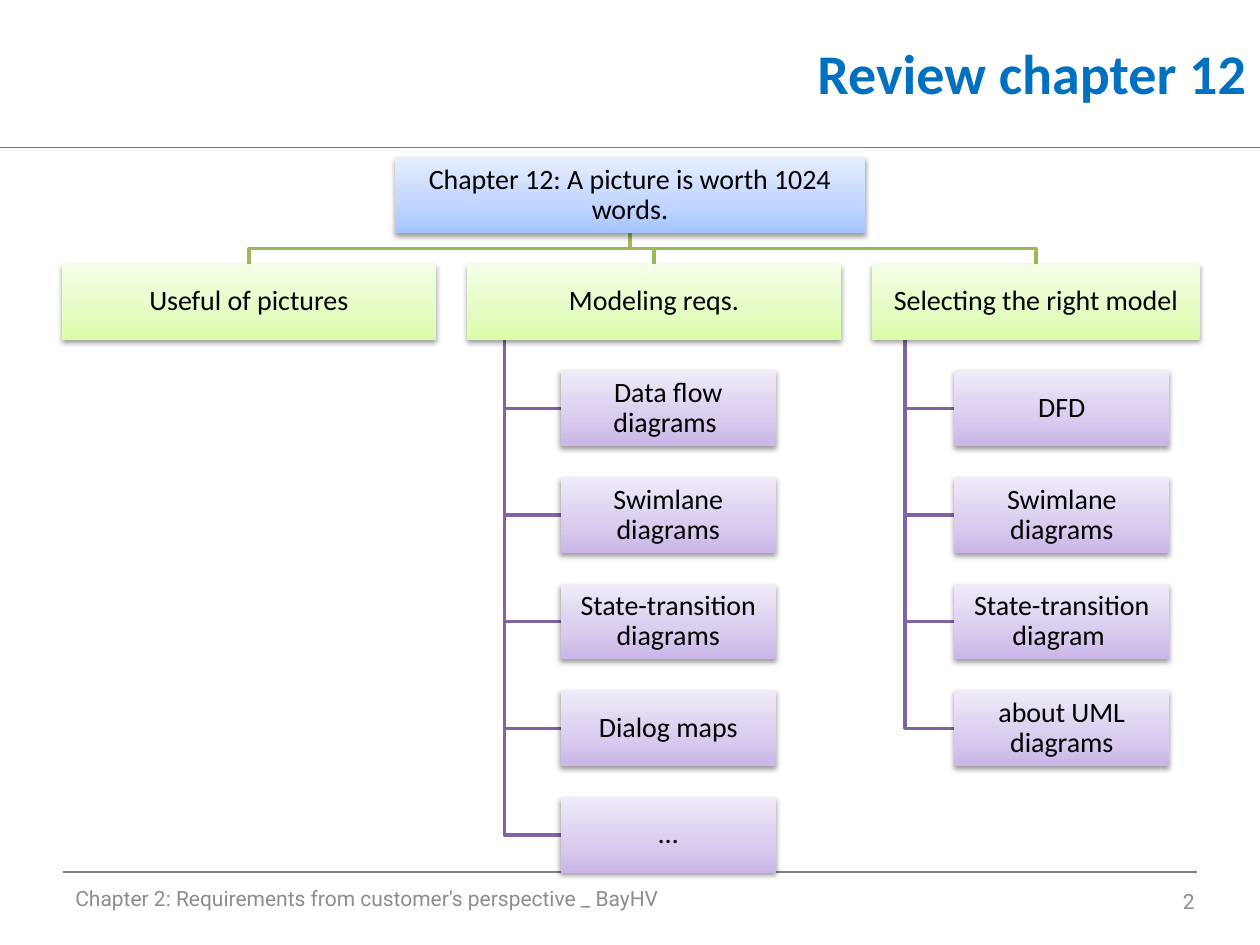
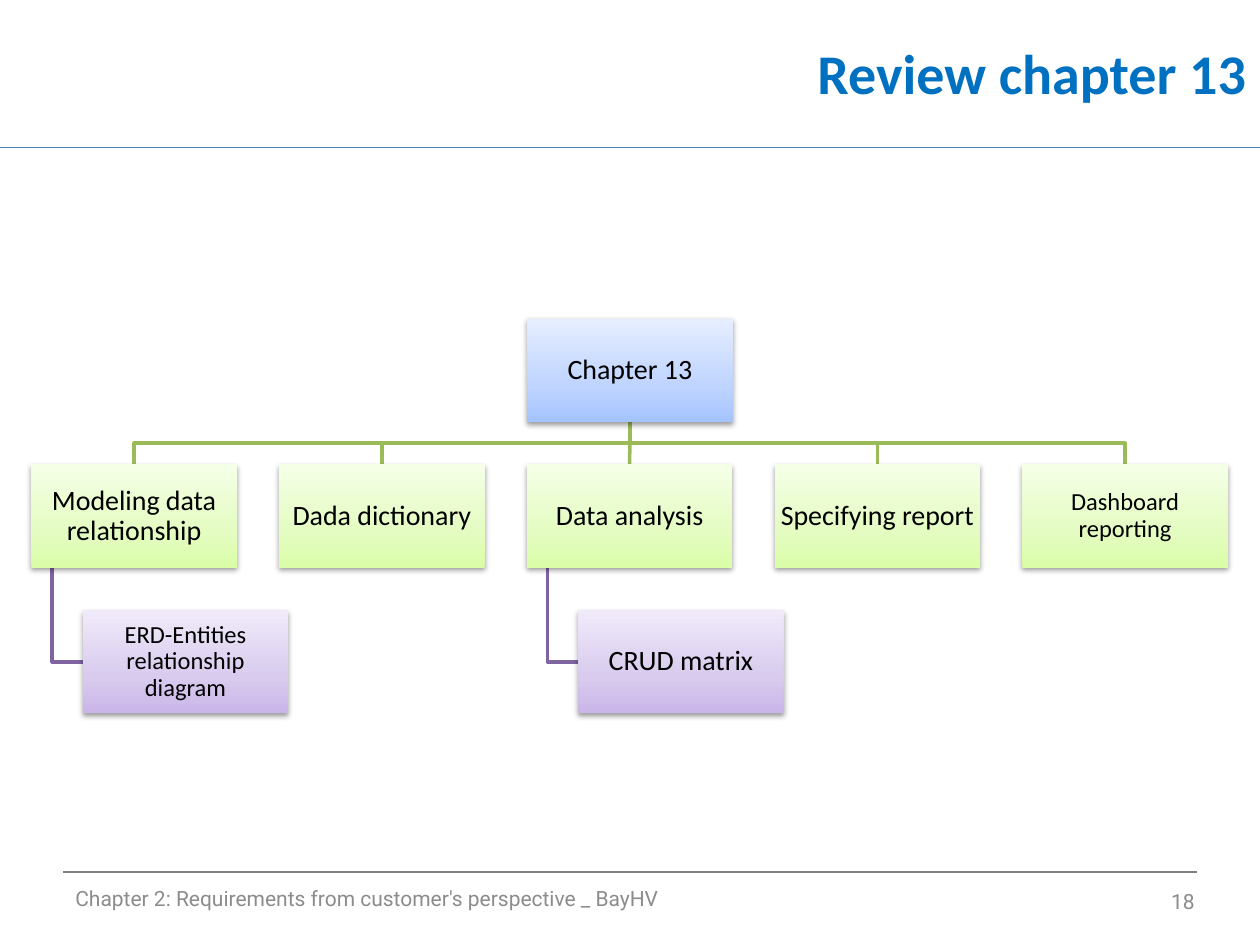
from copy import deepcopy
from dataclasses import dataclass

from lxml import etree
from pptx import Presentation
from pptx.dml.color import RGBColor
from pptx.enum.shapes import MSO_CONNECTOR, MSO_SHAPE
from pptx.enum.text import MSO_ANCHOR, PP_ALIGN
from pptx.oxml.ns import qn
from pptx.util import Inches, Pt

TITLE_BLUE = RGBColor(0x00, 0x70, 0xC0)
RULE_BLUE = RGBColor(0x4B, 0x7E, 0xBC)
RULE_GREY = RGBColor(0x80, 0x80, 0x80)
FOOTER_GREY = RGBColor(0x8C, 0x8C, 0x8C)
BLACK = RGBColor(0x00, 0x00, 0x00)
BRANCH_LINE = RGBColor(0x9B, 0xBB, 0x59)
LEAF_LINE = RGBColor(0x80, 0x64, 0xA2)

# Gradients run from the bottom of a box to its top
ROOT_FILL = [RGBColor(0xA4, 0xC4, 0xFF), RGBColor(0xBF, 0xD4, 0xFF), RGBColor(0xE6, 0xEE, 0xFF)]
BRANCH_FILL = [RGBColor(0xDA, 0xFD, 0xA7), RGBColor(0xE4, 0xFC, 0xC2), RGBColor(0xF5, 0xFF, 0xE7)]
LEAF_FILL = [RGBColor(0xC9, 0xB5, 0xE8), RGBColor(0xD8, 0xCB, 0xEE), RGBColor(0xF0, 0xEA, 0xF9)]
STOPS = [0, 0.35, 1]

TITLE_FONT = {"name": "Calibri", "size": Pt(32), "bold": True}
FOOTER_FONT = {"name": "Roboto", "size": Pt(12)}
FOOTER = "Chapter 2: Requirements from customer's perspective _ BayHV"

# Chart proportions: gap to box height, stem and indent to branch width
GAP, STEM, INDENT = 0.41, 0.1, 0.25


@dataclass
class Node:
    text: str
    width: float
    size: int = 16
    children: tuple = ()


def write(tf, text, align, font, color):
    tf.word_wrap = True
    tf.vertical_anchor = MSO_ANCHOR.MIDDLE
    p = tf.paragraphs[0]
    p.alignment = align
    r = p.add_run()
    r.text = text
    for key, value in font.items():
        setattr(r.font, key, value)
    r.font.color.rgb = color
    return p


def add_text(slide, box, text, align, font, color):
    tb = slide.shapes.add_textbox(*map(Inches, box))
    write(tb.text_frame, text, align, font, color)


def add_line(slide, start, end, color, width):
    line = slide.shapes.add_connector(MSO_CONNECTOR.STRAIGHT, *map(Inches, (*start, *end)))
    line.line.color.rgb = color
    line.line.width = Pt(width)
    etree.SubElement(line._element.spPr, qn("a:effectLst"))
    return line


def send_to_back(sp):
    sp._element.getparent().insert(2, sp._element)


def add_elbow(slide, points, color):
    (x, y), *rest = [(Inches(px), Inches(py)) for px, py in points]
    builder = slide.shapes.build_freeform(x, y)
    builder.add_line_segments(rest, close=False)
    sp = builder.convert_to_shape()
    sp.shadow.inherit = False
    sp.fill.background()
    sp.line.color.rgb = color
    sp.line.width = Pt(2)
    send_to_back(sp)


def add_soft_shadow(sp):
    sp.shadow.inherit = False
    effects = sp._element.spPr.find(qn("a:effectLst"))
    shadow = etree.SubElement(effects, qn("a:outerShdw"), blurRad="40000", dist="20000",
                              dir="5400000", rotWithShape="0")
    color = etree.SubElement(shadow, qn("a:srgbClr"), val="000000")
    etree.SubElement(color, qn("a:alpha"), val="38000")


def add_node(slide, node, left, top, height, colors):
    sp = slide.shapes.add_shape(MSO_SHAPE.RECTANGLE, *map(Inches, (left, top, node.width, height)))
    sp.line.fill.background()
    sp.fill.gradient()
    sp.fill.gradient_angle = 90
    stop_list = sp._element.spPr.find(".//" + qn("a:gsLst"))
    stop_list.insert(1, deepcopy(stop_list[0]))
    for stop, position, color in zip(sp.fill.gradient_stops, STOPS, colors):
        stop.position = position
        stop.color.rgb = color
    add_soft_shadow(sp)
    tf = sp.text_frame
    for side in ("left", "right", "top", "bottom"):
        setattr(tf, f"margin_{side}", Inches(0.01))
    font = {"name": "Calibri", "size": Pt(node.size)}
    write(tf, node.text, PP_ALIGN.CENTER, font, BLACK).line_spacing = 0.9
    return sp


def add_leaves(slide, branch, left, top, height):
    """Hang the children of a branch from a stem below it."""
    stem, leaf_left = left + STEM * branch.width, left + INDENT * branch.width
    for i, leaf in enumerate(branch.children, 1):
        leaf_top = top + i * height * (1 + GAP)
        middle = leaf_top + height / 2
        add_node(slide, leaf, leaf_left, leaf_top, height, LEAF_FILL)
        add_elbow(slide, [(stem, top + height), (stem, middle), (leaf_left, middle)], LEAF_LINE)


def add_org_chart(slide, box, root):
    """Draw the tree in box = left, top, width, height of one node."""
    left, top, width, height = box
    gap = GAP * height
    center, root_bottom = left + width / 2, top + height
    branch_top = root_bottom + gap
    bus = root_bottom + gap / 2
    root_sp = add_node(slide, root, center - root.width / 2, top, height, ROOT_FILL)
    for branch in root.children:
        sp = add_node(slide, branch, left, branch_top, height, BRANCH_FILL)
        x = left + branch.width / 2
        if abs(x - center) < 0.02:
            line = add_line(slide, (center, root_bottom), (x, branch_top), BRANCH_LINE, 2)
            line.begin_connect(root_sp, 2)
            line.end_connect(sp, 0)
            send_to_back(line)
        else:
            add_elbow(slide, [(center, root_bottom), (center, bus), (x, bus), (x, branch_top)],
                      BRANCH_LINE)
        add_leaves(slide, branch, left, branch_top, height)
        left += branch.width + gap


def add_frame(slide, title, number):
    """Title, rules and footer shared by the slides."""
    add_line(slide, (0, 1.17), (10, 1.17), RULE_BLUE, 0.75)
    add_line(slide, (0.5, 6.92), (9.5, 6.92), RULE_GREY, 0.75)
    add_text(slide, (2.9, 0, 7.09, 1.15), title, PP_ALIGN.RIGHT, TITLE_FONT, TITLE_BLUE)
    add_text(slide, (0.5, 6.93, 6.67, 0.4), FOOTER, PP_ALIGN.LEFT, FOOTER_FONT, FOOTER_GREY)
    add_text(slide, (7.25, 6.95, 2.33, 0.4), number, PP_ALIGN.RIGHT, FOOTER_FONT, FOOTER_GREY)


def add_review_slide(prs, title, number, box, root):
    slide = prs.slides.add_slide(prs.slide_layouts[6])
    add_frame(slide, title, number)
    add_org_chart(slide, box, root)


def leaves(width, *texts):
    return tuple(Node(text, width) for text in texts)


CHAPTER_12 = Node("Chapter 12: A picture is worth 1024 words.", 3.73, children=(
    Node("Useful of pictures", 2.97),
    Node("Modeling reqs.", 2.97, children=leaves(
        1.71, "Data flow diagrams ", "Swimlane diagrams", "State-transition diagrams",
        "Dialog maps", "…")),
    Node("Selecting the right model", 2.6, children=leaves(
        1.71, "DFD", "Swimlane diagrams", "State-transition diagram ", "about UML diagrams")),
))

CHAPTER_13 = Node("Chapter 13", 1.63, children=(
    Node("Modeling data relationship", 1.63, children=(
        Node("ERD-Entities relationship diagram", 1.63, 14),)),
    Node("Dada dictionary", 1.63),
    Node("Data analysis", 1.63, children=leaves(1.63, "CRUD matrix")),
    Node("Specifying report", 1.63),
    Node("Dashboard reporting", 1.63, 14),
))


def main():
    prs = Presentation()
    prs.slide_width, prs.slide_height = Inches(10), Inches(7.5)
    add_review_slide(prs, "Review chapter 12", "2", (0.49, 1.25, 9.02, 0.6), CHAPTER_12)
    add_review_slide(prs, "Review chapter 13", "18", (0.25, 2.53, 9.5, 0.82), CHAPTER_13)
    prs.save("out.pptx")


if __name__ == "__main__":
    main()
